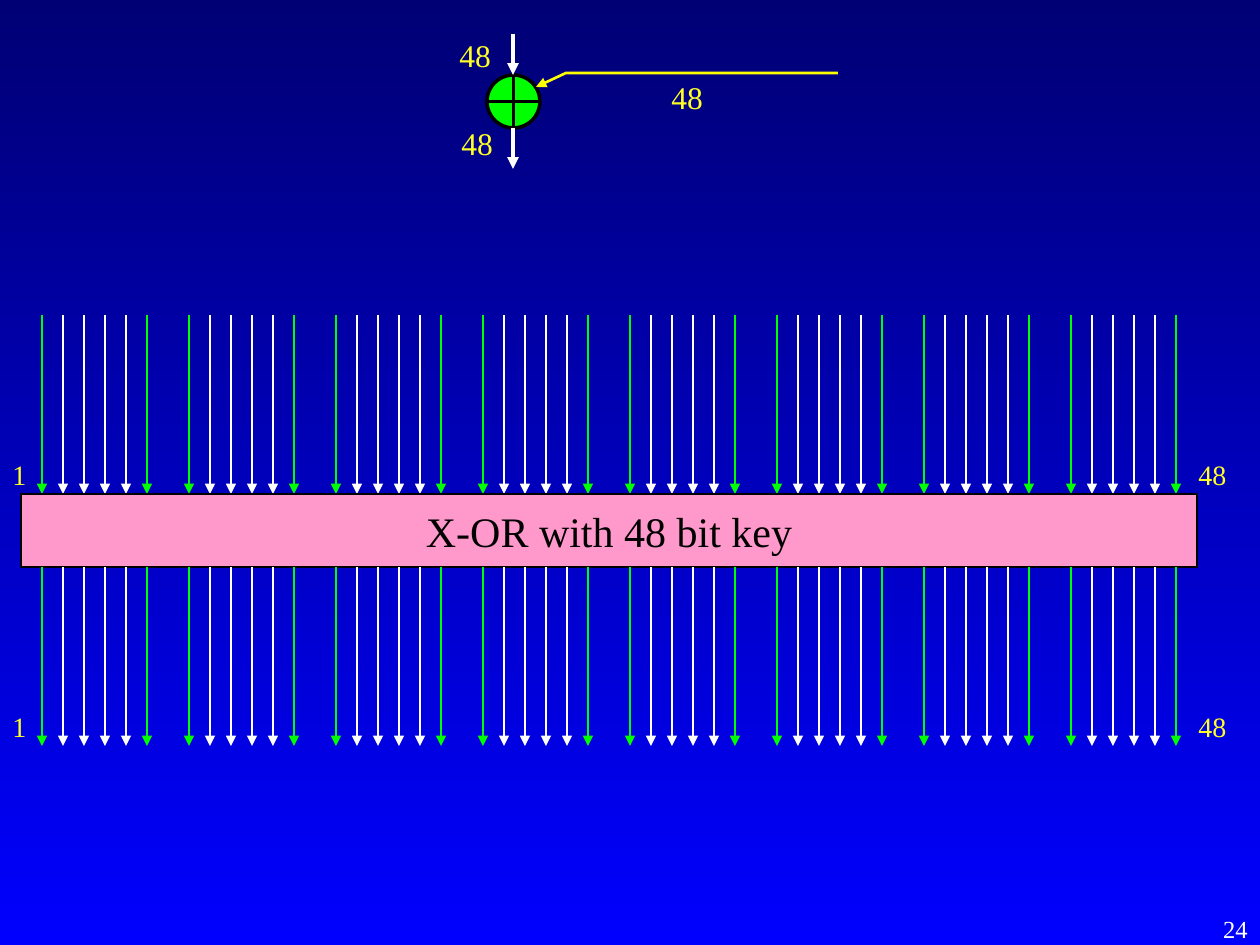
from dataclasses import dataclass

from lxml import etree
from pptx import Presentation
from pptx.dml.color import RGBColor
from pptx.enum.shapes import MSO_CONNECTOR, MSO_SHAPE
from pptx.enum.text import MSO_ANCHOR, MSO_AUTO_SIZE, PP_ALIGN
from pptx.oxml.ns import qn
from pptx.slide import Slide
from pptx.util import Inches, Pt

EMU_PER_PX = Inches(1) / 126
STRAIGHT = MSO_CONNECTOR.STRAIGHT
RECTANGLE = MSO_SHAPE.RECTANGLE
XOR_SYMBOL = MSO_SHAPE.FLOWCHART_OR
MIDDLE = MSO_ANCHOR.MIDDLE
GROW = MSO_AUTO_SIZE.SHAPE_TO_FIT_TEXT
LEFT, CENTER, RIGHT = PP_ALIGN.LEFT, PP_ALIGN.CENTER, PP_ALIGN.RIGHT

NAVY = RGBColor(0x00, 0x00, 0x75)
BLUE = RGBColor(0x00, 0x00, 0xFF)
GREEN = RGBColor(0x00, 0xFF, 0x00)
WHITE = RGBColor(0xFF, 0xFF, 0xFF)
BLACK = RGBColor(0x00, 0x00, 0x00)
PINK = RGBColor(0xFF, 0x99, 0xCC)
YELLOW = RGBColor(0xFF, 0xFF, 0x00)
LABEL_YELLOW = RGBColor(0xFF, 0xFF, 0x27)

GROUPS = 8
BITS_PER_GROUP = 6
BIT_STEP = 21
GROUP_STEP = 147
FIRST_BIT = 42
ARROW_LENGTH = 179


def px(length):
    return round(length * EMU_PER_PX)


@dataclass
class SlideBuilder:
    slide: Slide
    font_name: str = "Times New Roman"

    def background(self, top_color, bottom_color):
        fill = self.slide.background.fill
        fill.gradient()
        fill.gradient_angle = 270
        for stop, color in zip(fill.gradient_stops, (top_color, bottom_color)):
            stop.color.rgb = color

    def outline(self, shape, color, width, arrow=False):
        shape.line.color.rgb = color
        shape.line.width = Pt(width)
        if arrow:
            line = shape.element.spPr.find(qn("a:ln"))
            etree.SubElement(line, qn("a:tailEnd"), type="triangle")

    def arrow(self, x, top, bottom, color, width):
        connector = self.slide.shapes.add_connector(
            STRAIGHT, px(x), px(top), px(x), px(bottom))
        self.outline(connector, color, width, arrow=True)
        etree.SubElement(connector.element.spPr, qn("a:effectLst"))

    def bent_arrow(self, points, color, width):
        start, *rest = [(px(x), px(y)) for x, y in points]
        builder = self.slide.shapes.build_freeform(*start)
        builder.add_line_segments(rest, close=False)
        shape = builder.convert_to_shape()
        shape.shadow.inherit = False
        shape.fill.background()
        self.outline(shape, color, width, arrow=True)

    def shape(self, kind, left, top, width, height, color, line_width):
        shape = self.slide.shapes.add_shape(
            kind, px(left), px(top), px(width), px(height))
        shape.shadow.inherit = False
        shape.fill.solid()
        shape.fill.fore_color.rgb = color
        self.outline(shape, BLACK, line_width)
        return shape

    def set_text(self, frame, text, size, color, alignment):
        paragraph = frame.paragraphs[0]
        paragraph.text = text
        paragraph.alignment = alignment
        paragraph.font.name = self.font_name
        paragraph.font.size = Pt(size)
        paragraph.font.color.rgb = color

    def bar(self, left, top, width, height, text):
        shape = self.shape(RECTANGLE, left, top, width, height, PINK, 1.5)
        frame = shape.text_frame
        frame.word_wrap = False
        frame.vertical_anchor = MIDDLE
        self.set_text(frame, text, 24, BLACK, CENTER)

    def text_box(self, left, top, width, height):
        box = self.slide.shapes.add_textbox(
            px(left), px(top), px(width), px(height))
        return box.text_frame

    def label(self, left, top, width, height, text, size):
        frame = self.text_box(left, top, width, height)
        frame.word_wrap = False
        frame.auto_size = GROW
        self.set_text(frame, text, size, LABEL_YELLOW, LEFT)

    def page_number(self, left, top, width, height, text):
        frame = self.text_box(left, top, width, height)
        frame.word_wrap = True
        self.set_text(frame, text, 14, WHITE, RIGHT)

    def bit_row(self, top):
        for group in range(GROUPS):
            for bit in range(BITS_PER_GROUP):
                color = GREEN if bit in (0, BITS_PER_GROUP - 1) else WHITE
                x = FIRST_BIT + group * GROUP_STEP + bit * BIT_STEP
                self.arrow(x, top, top + ARROW_LENGTH, color, 0.75)
        self.label(0, top + 136, 39, 47, "1", 16)
        self.label(1186, top + 136, 53, 47, "48", 16)


def main():
    presentation = Presentation()
    presentation.slide_width = Inches(10)
    presentation.slide_height = Inches(7.5)
    slide = presentation.slides.add_slide(presentation.slide_layouts[6])
    builder = SlideBuilder(slide)
    builder.background(NAVY, BLUE)

    builder.bit_row(315)
    builder.bar(21, 494, 1176, 73, "X-OR with 48 bit key")
    builder.bit_row(567)

    builder.shape(XOR_SYMBOL, 487, 75, 53, 53, GREEN, 2)
    builder.bent_arrow([(838, 73), (566, 73), (536, 87)], YELLOW, 1.5)
    for top, bottom in ((34, 75), (128, 169)):
        builder.arrow(513, top, bottom, WHITE, 2.25)
    for left, top in ((447, 30), (659, 72), (449, 118)):
        builder.label(left, top, 57, 50, "48", 18)

    builder.page_number(998, 908, 262, 37, "24")
    presentation.save("out.pptx")


if __name__ == "__main__":
    main()
